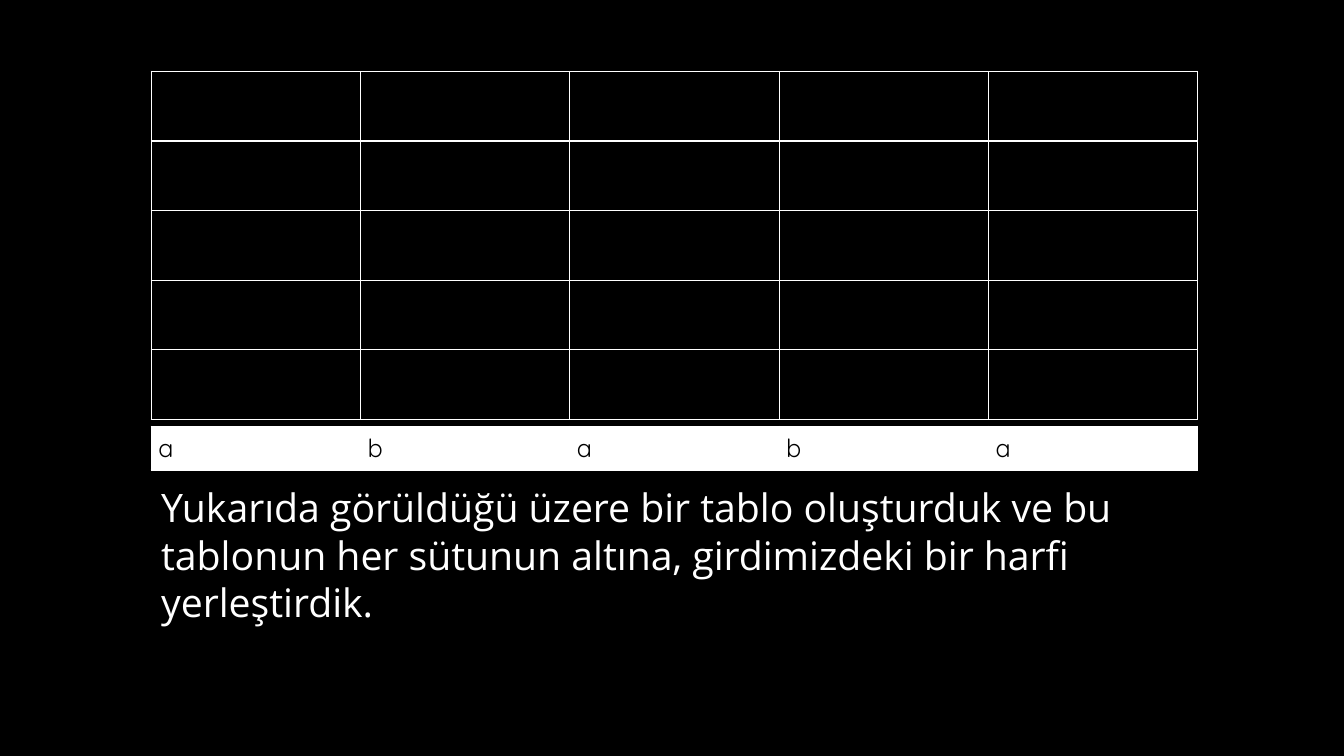
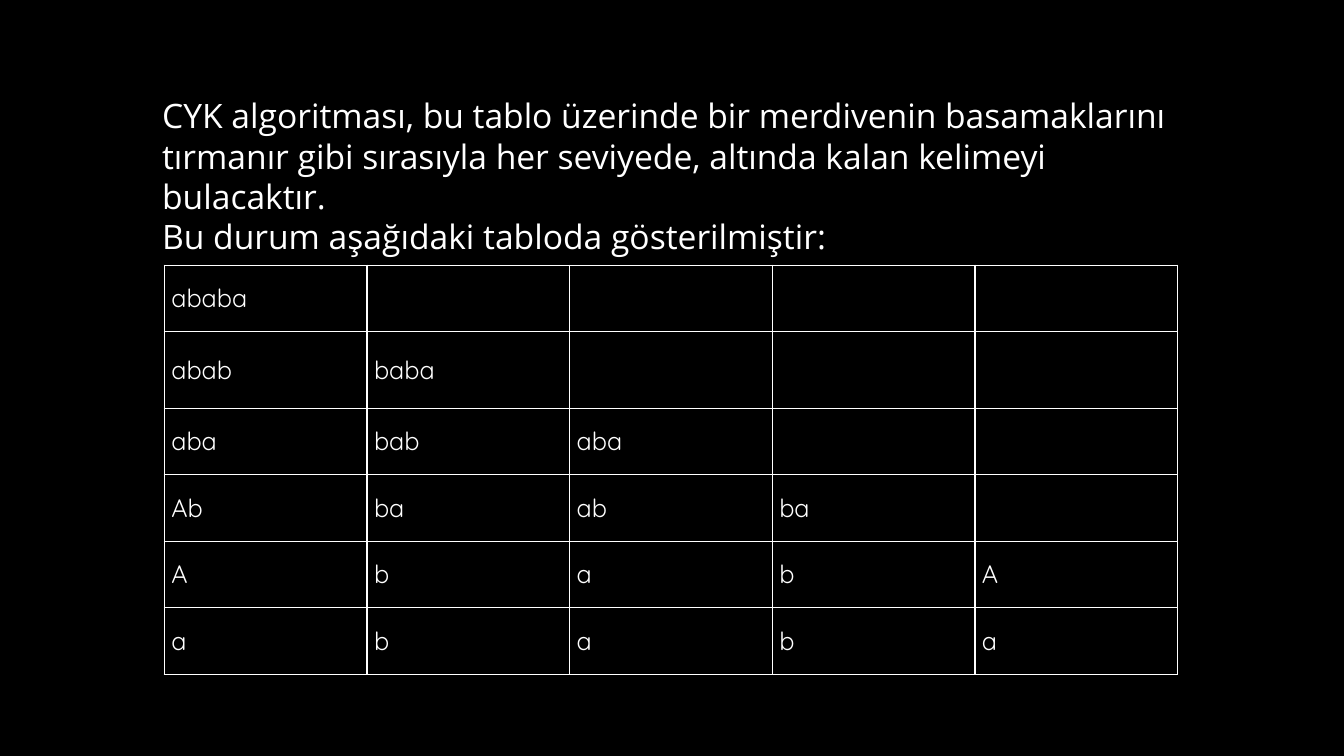
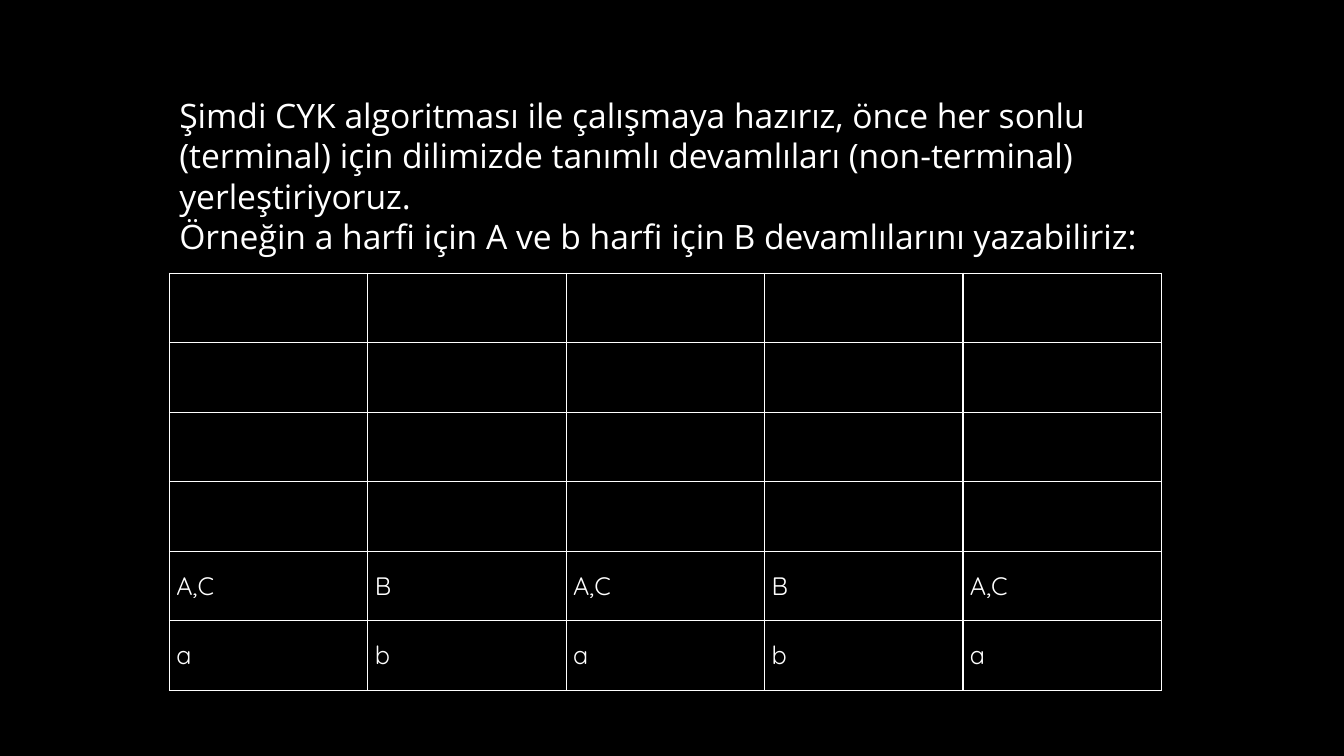
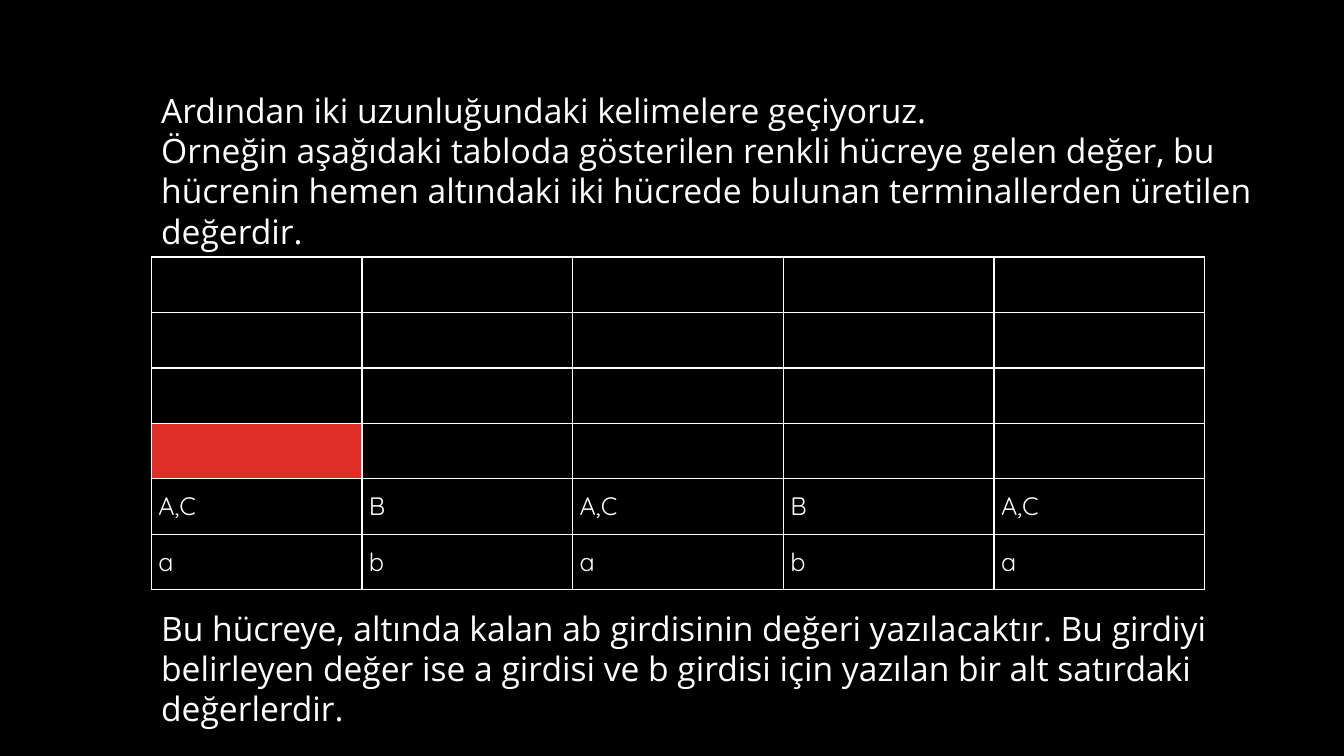
import itertools

import lxml.etree
import pptx
import pptx.dml.color
import pptx.enum.text
import pptx.oxml.ns
import pptx.util

Inches = pptx.util.Inches
Pt = pptx.util.Pt
Anchor = pptx.enum.text.MSO_ANCHOR

COLORS = {"black": "000000", "white": "FFFFFF", "red": "DF2E28"}
CELL_FORMAT = {
    "margin_left": Inches(0.07),
    "margin_right": Inches(0.07),
    "margin_top": Inches(0.06),
    "margin_bottom": Inches(0.06),
    "vertical_anchor": Anchor.MIDDLE,
}
CELL_FONT = {"name": "Quicksand", "size": Pt(18)}
COLUMN_COUNT = 5

INPUT_LETTERS = "a b a b a"
NON_TERMINALS = "A,C B A,C B A,C"
FIRST_LEVEL = ["", "", "", "", NON_TERMINALS, INPUT_LETTERS]


def apply_format(target, values):
    for attribute, value in values.items():
        setattr(target, attribute, value)


def rgb(color):
    return pptx.dml.color.RGBColor.from_string(COLORS[color])


class Deck:
    """Holds the presentation, its style and the current slide."""

    def __init__(self):
        self.presentation = pptx.Presentation()
        self.presentation.slide_width = Inches(13.33)
        self.presentation.slide_height = Inches(7.5)
        backdrop = self.presentation.slide_master.background.fill
        backdrop.solid()
        backdrop.fore_color.rgb = rgb("black")
        self.slide = None

    def new_slide(self):
        blank = self.presentation.slide_layouts[6]
        self.slide = self.presentation.slides.add_slide(blank)

    def explanation(self, left, top, width, height, paragraphs, size=24,
                    anchor=Anchor.MIDDLE):
        box = self.slide.shapes.add_textbox(
            Inches(left), Inches(top), Inches(width), Inches(height))
        frame = box.text_frame
        apply_format(frame, {
            "word_wrap": True,
            "auto_size": pptx.enum.text.MSO_AUTO_SIZE.SHAPE_TO_FIT_TEXT,
            "vertical_anchor": anchor,
            "text": "\n".join(paragraphs),
        })
        for paragraph in frame.paragraphs:
            font = paragraph.runs[0].font
            apply_format(font, {"name": "Open Sans", "size": Pt(size)})
            font.color.rgb = rgb("white")

    def grid(self, left, top, width, row_heights, rows, fill=None,
             ink="white", bordered=True, highlights=()):
        """Add a table; each row is a string of words, one per cell from the left."""
        table = self.slide.shapes.add_table(
            len(rows), COLUMN_COUNT, Inches(left), Inches(top),
            Inches(width), Inches(sum(row_heights))).table
        apply_format(table, {"first_row": False, "horz_banding": False})
        for row, height in zip(table.rows, row_heights):
            row.height = Inches(height)
        for row, column in itertools.product(range(len(rows)), range(COLUMN_COUNT)):
            cell = table.cell(row, column)
            apply_format(cell, CELL_FORMAT)
            if bordered:
                self.cell_borders(cell)
            color = "red" if (row, column) in highlights else fill
            if color:
                cell.fill.solid()
                cell.fill.fore_color.rgb = rgb(color)
            else:
                cell.fill.background()
            words = rows[row].split()
            if column < len(words):
                self.cell_word(cell, words[column], ink)

    def cell_word(self, cell, word, ink):
        run = cell.text_frame.paragraphs[0].add_run()
        run.text = word
        apply_format(run.font, CELL_FONT)
        run.font.color.rgb = rgb(ink)

    def cell_borders(self, cell):
        qn = pptx.oxml.ns.qn
        properties = cell._tc.get_or_add_tcPr()
        for side in ("a:lnL", "a:lnR", "a:lnT", "a:lnB"):
            line = lxml.etree.SubElement(properties, qn(side), w=str(Pt(1)))
            solid = lxml.etree.SubElement(line, qn("a:solidFill"))
            lxml.etree.SubElement(solid, qn("a:srgbClr"), val=COLORS["white"])


def empty_table_slide(deck):
    deck.new_slide()
    deck.grid(1.5, 0.71, 10.38, [0.69] * 5, [""] * 5)
    deck.grid(1.5, 4.23, 10.38, [0.43], [INPUT_LETTERS],
              fill="white", ink="black", bordered=False)
    deck.explanation(1.5, 4.75, 10.38, 1.51, [
        "Yukarıda görüldüğü üzere bir tablo oluşturduk ve bu tablonun her "
        "sütunun altına, girdimizdeki bir harfi yerleştirdik.",
    ], size=28, anchor=Anchor.TOP)


def word_ladder_slide(deck):
    deck.new_slide()
    deck.grid(1.63, 2.63, 10.05, [0.66, 0.76] + [0.66] * 4, [
        "ababa",
        "abab baba",
        "aba bab aba",
        "Ab ba ab ba",
        "A b a b A",
        INPUT_LETTERS,
    ])
    deck.explanation(1.51, 1.09, 10.51, 1.31, [
        "CYK algoritması, bu tablo üzerinde bir merdivenin basamaklarını "
        "tırmanır gibi sırasıyla her seviyede, altında kalan kelimeyi bulacaktır.",
        "Bu durum aşağıdaki tabloda gösterilmiştir:",
    ])


def non_terminals_slide(deck):
    deck.new_slide()
    deck.grid(1.68, 2.71, 9.84, [0.69] * 6, FIRST_LEVEL)
    deck.explanation(1.68, 0.88, 10.37, 1.72, [
        "Şimdi CYK algoritması ile çalışmaya hazırız, önce her sonlu (terminal) "
        "için dilimizde tanımlı devamlıları (non-terminal) yerleştiriyoruz.",
        "Örneğin a harfi için A ve b harfi için B devamlılarını yazabiliriz:",
    ])


def two_letter_words_slide(deck):
    deck.new_slide()
    deck.grid(1.5, 2.55, 10.45, [0.55] * 6, FIRST_LEVEL, highlights=[(3, 0)])
    deck.explanation(1.5, 0.83, 11.45, 1.72, [
        "Ardından iki uzunluğundaki kelimelere geçiyoruz.",
        "Örneğin aşağıdaki tabloda gösterilen renkli hücreye gelen değer, bu "
        "hücrenin hemen altındaki iki hücrede bulunan terminallerden üretilen "
        "değerdir.",
    ])
    deck.explanation(1.5, 5.98, 11.14, 1.31, [
        "Bu hücreye, altında kalan ab girdisinin değeri yazılacaktır. Bu girdiyi "
        "belirleyen değer ise a girdisi ve b girdisi için yazılan bir alt "
        "satırdaki değerlerdir.",
    ], anchor=Anchor.TOP)


def main():
    deck = Deck()
    empty_table_slide(deck)
    word_ladder_slide(deck)
    non_terminals_slide(deck)
    two_letter_words_slide(deck)
    deck.presentation.save("out.pptx")


if __name__ == "__main__":
    main()
